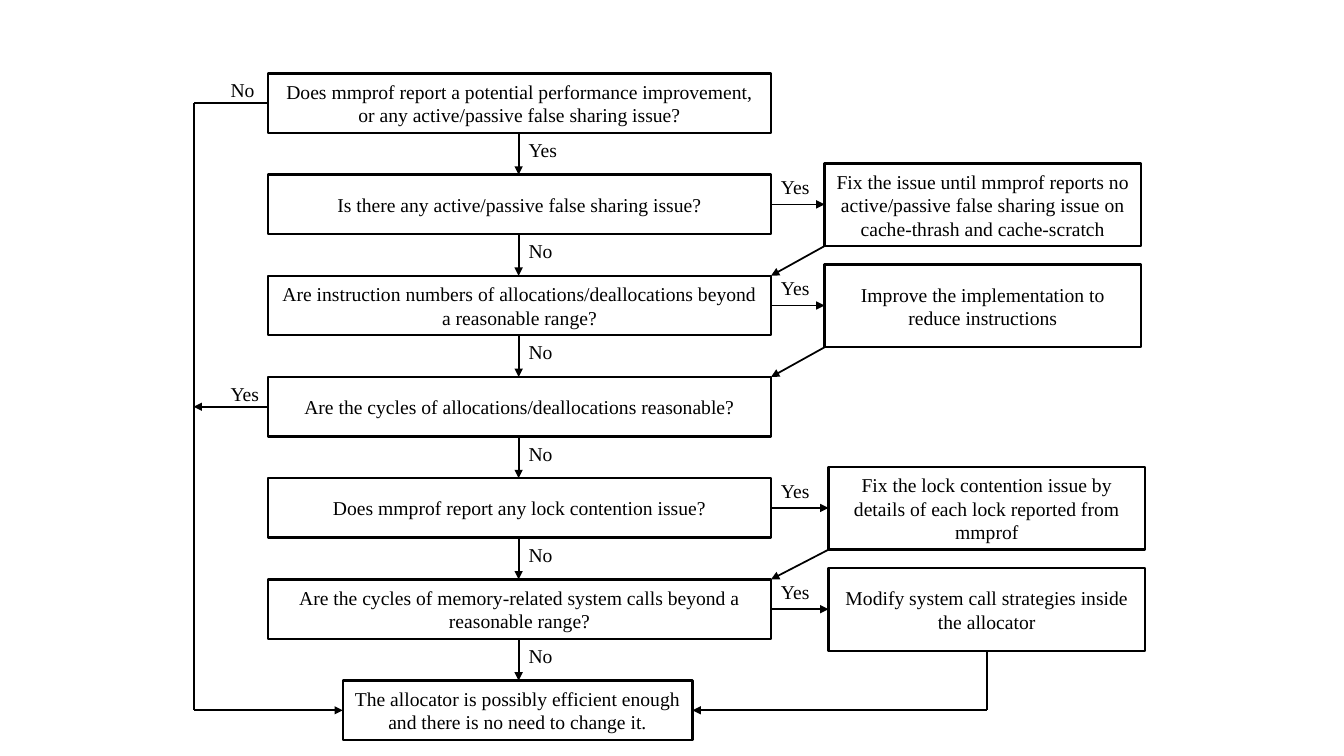
from pptx import Presentation
from pptx import util as u
from pptx.dml.color import RGBColor
from pptx.enum import shapes, text
from pptx.oxml.ns import qn
from lxml import etree

INK, PAPER = "000000", "FFFFFF"
TOP, STEP, HEIGHT = 1.85, 2.55, 1.5
LEFT, WIDTH = 6.76, 12.67
RIGHT, STEM = LEFT + WIDTH, 13.07
FIX_WIDTH, FIX_HEIGHT, FIX_RISE = 7.98, 2.08, 0.28
RAIL, LABEL_HEIGHT = 4.88, 0.86
END_LEFT, END_WIDTH = 8.64, 8.81

QUESTIONS = [
    ("Does mmprof report a potential performance improvement, or any active/passive false sharing issue?", "Yes"),
    ("Is there any active/passive false sharing issue?", "No"),
    ("Are instruction numbers of allocations/deallocations beyond a reasonable range?", "No"),
    ("Are the cycles of allocations/deallocations reasonable?", "No"),
    ("Does mmprof report any lock contention issue?", "No"),
    ("Are the cycles of memory-related system calls beyond a reasonable range?", "No"),
]
FIXES = [
    (1, 20.78, "Fix the issue until mmprof reports no active/passive false sharing issue on cache-thrash and cache-scratch"),
    (2, 20.78, "Improve the implementation to reduce instructions"),
    (4, 20.88, "Fix the lock contention issue by details of each lock reported from mmprof"),
    (5, 20.88, "Modify system call strategies inside the allocator"),
]
EXITS = [(0, "No", False), (3, "Yes", True)]
OUTCOME = "The allocator is possibly efficient enough and there is no need to change it."


def color(value):
    return RGBColor.from_string(value)


def row_top(row):
    return TOP + row * STEP


def row_middle(row):
    return row_top(row) + HEIGHT / 2


class Flowchart:
    """Hold the chart's style and current page, and draw its elements."""

    def __init__(self, page, font="Times New Roman", size=14):
        self.page, self.font, self.size = page, font, size

    def add_words(self, shape, words, align):
        shape.text_frame.word_wrap = True
        para = shape.text_frame.paragraphs[0]
        para.alignment = align
        span = para.add_run()
        span.text = words
        span.font.name, span.font.size = self.font, u.Pt(self.size)
        span.font.color.rgb = color(INK)

    def box(self, left, top, width, height, words):
        box = self.page.shapes.add_shape(
            shapes.MSO_SHAPE.RECTANGLE, u.Cm(left), u.Cm(top), u.Cm(width), u.Cm(height))
        box.shadow.inherit = False
        box.fill.solid()
        box.fill.fore_color.rgb = color(PAPER)
        box.line.color.rgb = color(INK)
        box.line.width = u.Pt(1.75)
        box.text_frame.vertical_anchor = text.MSO_ANCHOR.MIDDLE
        self.add_words(box, words, text.PP_ALIGN.CENTER)

    def label(self, left, top, words):
        box = self.page.shapes.add_textbox(u.Cm(left), u.Cm(top), u.Cm(1.85), u.Cm(LABEL_HEIGHT))
        box.text_frame.auto_size = text.MSO_AUTO_SIZE.SHAPE_TO_FIT_TEXT
        self.add_words(box, words, text.PP_ALIGN.LEFT)

    def line(self, start, end, arrow=True):
        line = self.page.shapes.add_connector(
            shapes.MSO_CONNECTOR.STRAIGHT, *(u.Cm(value) for value in (*start, *end)))
        line.line.color.rgb = color(INK)
        line.line.width = u.Pt(1.25)
        properties = line._element.spPr
        if arrow:
            etree.SubElement(properties.find(qn("a:ln")), qn("a:tailEnd"), type="triangle")
        etree.SubElement(properties, qn("a:effectLst"))


deck = Presentation()
deck.slide_width, deck.slide_height = u.Cm(33.87), u.Cm(19.05)
chart = Flowchart(deck.slides.add_slide(deck.slide_layouts[6]))

for row, (question, answer) in enumerate(QUESTIONS):
    bottom = row_top(row) + HEIGHT
    chart.box(LEFT, row_top(row), WIDTH, HEIGHT, question)
    chart.line((STEM, bottom), (STEM, row_top(row + 1)))
    chart.label(STEM, bottom, answer)

last = len(QUESTIONS)
chart.box(END_LEFT, row_top(last), END_WIDTH, HEIGHT, OUTCOME)
end_y = row_middle(last)

for row, left, advice in FIXES:
    top, middle = row_top(row) - FIX_RISE, row_middle(row)
    bottom = top + FIX_HEIGHT
    chart.box(left, top, FIX_WIDTH, FIX_HEIGHT, advice)
    chart.line((RIGHT, middle), (left, middle))
    chart.label(RIGHT, middle - LABEL_HEIGHT, "Yes")
    if row + 1 < last:
        chart.line((left, bottom), (RIGHT, row_top(row + 1)))
    else:
        center = left + FIX_WIDTH / 2
        chart.line((center, bottom), (center, end_y), arrow=False)
        chart.line((center, end_y), (END_LEFT + END_WIDTH, end_y))

for row, answer, arrow in EXITS:
    chart.line((LEFT, row_middle(row)), (RAIL, row_middle(row)), arrow)
    chart.label(5.56, row_top(row), answer)
chart.line((RAIL, row_middle(0)), (RAIL, end_y), arrow=False)
chart.line((RAIL, end_y), (END_LEFT, end_y))

deck.save("out.pptx")
